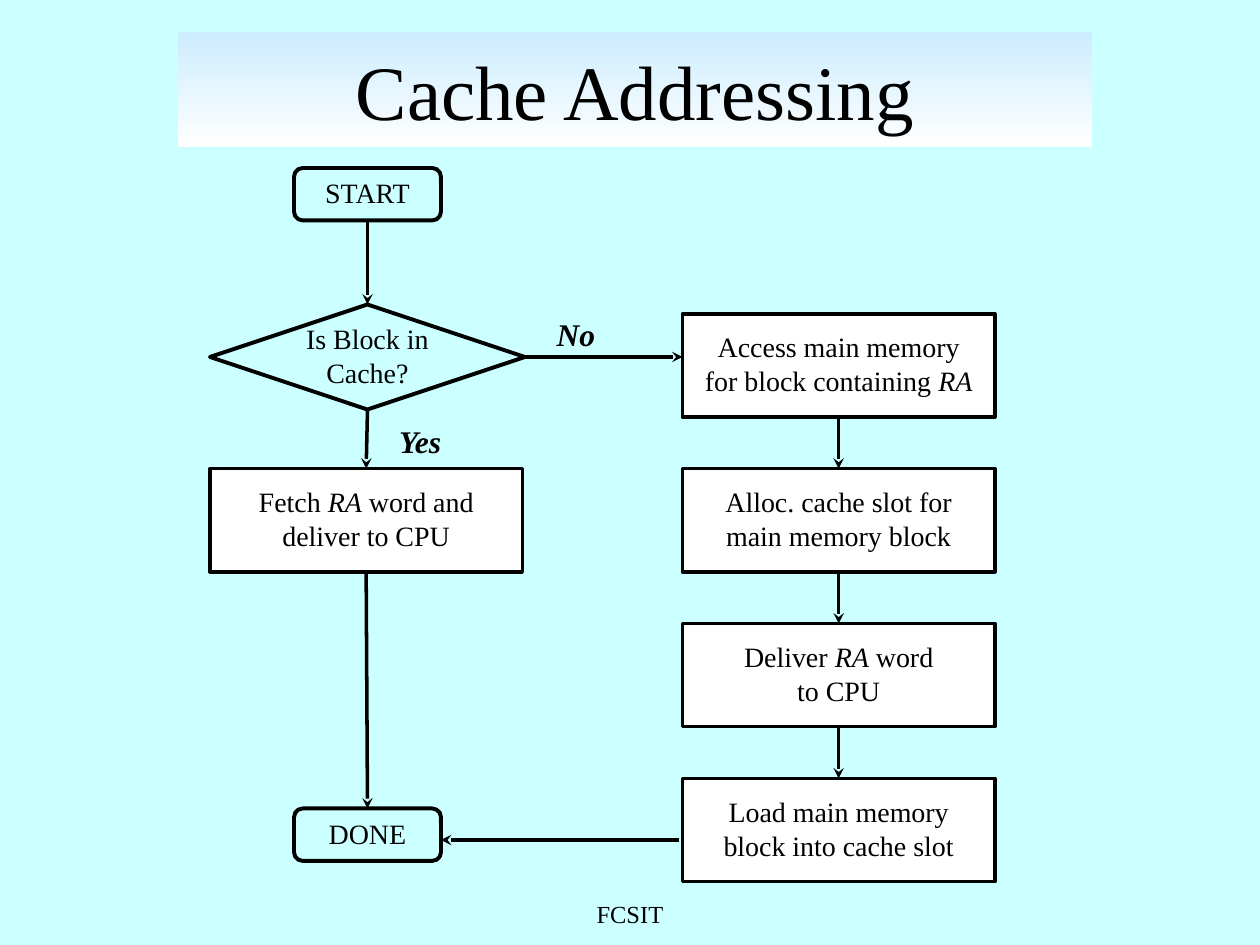
"""Build the cache addressing flowchart slide."""
from dataclasses import dataclass

from lxml.etree import SubElement
from pptx import Presentation
from pptx.dml.color import RGBColor
from pptx.enum.shapes import MSO_CONNECTOR, MSO_SHAPE
from pptx.enum.text import MSO_ANCHOR, PP_ALIGN
from pptx.oxml.ns import qn
from pptx.util import Pt

TOP, LEFT, BOTTOM, RIGHT = range(4)


@dataclass(frozen=True)
class Theme:
    """Colours, font and sizes of the slide."""
    background: RGBColor = RGBColor(0xCC, 0xFF, 0xFF)
    banner: RGBColor = RGBColor(0xCC, 0xEC, 0xFF)
    white: RGBColor = RGBColor(0xFF, 0xFF, 0xFF)
    ink: RGBColor = RGBColor(0, 0, 0)
    font: str = "Times New Roman"
    title_size: float = 44
    label_size: float = 18
    body_size: float = 16
    footer_size: float = 14
    line: float = 2
    outline: float = 2.25


def write(text_frame, text, *, theme, size, align=PP_ALIGN.CENTER,
          anchor=MSO_ANCHOR.MIDDLE, wrap=False, bold=None, italic=None):
    """Write text in a frame, with *starred* parts in italics."""
    text_frame.word_wrap = wrap
    text_frame.vertical_anchor = anchor
    paragraph = text_frame.paragraphs[0]
    paragraph.alignment = align
    for number, line in enumerate(text.split("\n")):
        if number:
            paragraph.add_line_break()
        for index, part in enumerate(line.split("*")):
            if part:
                run = paragraph.add_run()
                run.text = part
                font = run.font
                font.name, font.size = theme.font, Pt(size)
                font.color.rgb = theme.ink
                font.bold = bold
                font.italic = True if index % 2 else italic


class Flowchart:
    """Draws flowchart elements on the current slide."""

    def __init__(self, slide, theme):
        """Keep the slide and theme, and paint the background."""
        self.slide, self.theme = slide, theme
        slide.background.fill.solid()
        slide.background.fill.fore_color.rgb = theme.background

    def title(self, text, left, top, width, height):
        """Format the title placeholder as a gradient banner."""
        title = self.slide.shapes.title
        title.left, title.top = Pt(left), Pt(top)
        title.width, title.height = Pt(width), Pt(height)
        title.fill.gradient()
        title.fill.gradient_angle = 270
        colors = (self.theme.banner, self.theme.white)
        for stop, color, position in zip(title.fill.gradient_stops, colors, (0, 1)):
            stop.color.rgb, stop.position = color, position
        write(title.text_frame, text, theme=self.theme,
              size=self.theme.title_size, wrap=True)

    def label(self, text, left, top, width, height, **style):
        """Add free text."""
        box = self.slide.shapes.add_textbox(Pt(left), Pt(top), Pt(width), Pt(height))
        write(box.text_frame, text, theme=self.theme, anchor=MSO_ANCHOR.TOP, **style)

    def node(self, kind, text, left, top, width, height, weight, filled=False):
        """Add an outlined flowchart node with its text."""
        shape = self.slide.shapes.add_shape(
            kind, Pt(left), Pt(top), Pt(width), Pt(height))
        shape.shadow.inherit = False
        if filled:
            shape.fill.solid()
            shape.fill.fore_color.rgb = self.theme.white
        else:
            shape.fill.background()
        shape.line.color.rgb = self.theme.ink
        shape.line.width = Pt(weight)
        shape.text_frame.margin_bottom = Pt(5.6)
        write(shape.text_frame, text, theme=self.theme, size=self.theme.body_size)
        return shape

    def process(self, text, left, top):
        """Add a process box."""
        return self.node(MSO_SHAPE.RECTANGLE, text, left, top, 178.5, 59,
                         self.theme.line, filled=True)

    def decision(self, text, left, top):
        """Add a decision diamond."""
        return self.node(MSO_SHAPE.DIAMOND, text, left, top, 180, 60,
                         self.theme.outline)

    def terminal(self, text, left, top):
        """Add a rounded start or end node."""
        return self.node(MSO_SHAPE.ROUNDED_RECTANGLE, text, left, top, 84, 30,
                         self.theme.outline)

    def arrow(self, start, end):
        """Add an arrow; each end is a (shape, side) pair or a Pt point."""
        points = [(0, 0) if hasattr(point[0], "shape_id") else point
                  for point in (start, end)]
        connector = self.slide.shapes.add_connector(
            MSO_CONNECTOR.STRAIGHT, *points[0], *points[1])
        for point, connect in ((start, connector.begin_connect),
                               (end, connector.end_connect)):
            if hasattr(point[0], "shape_id"):
                connect(*point)
        connector.line.color.rgb = self.theme.ink
        connector.line.width = Pt(self.theme.line)
        SubElement(connector.line._get_or_add_ln(), qn("a:tailEnd"), type="stealth")
        SubElement(connector._element.spPr, qn("a:effectLst"))


def main():
    """Build and save the slide."""
    presentation = Presentation()
    presentation.slide_width, presentation.slide_height = Pt(720), Pt(540)
    slide = presentation.slides.add_slide(presentation.slide_layouts[5])
    theme = Theme()
    chart = Flowchart(slide, theme)

    chart.title("Cache Addressing", 102, 18, 522, 66)
    start = chart.terminal("START", 168, 96)
    decision = chart.decision("Is Block in\nCache?", 120, 174)
    first_top, pitch = 179.3, 88.5
    fetch = chart.process("Fetch *RA* word and\ndeliver to CPU", 120, first_top + pitch)
    done = chart.terminal("DONE", 168, 462)
    steps = [
        chart.process(text, 390, first_top + row * pitch)
        for row, text in enumerate((
            "Access main memory\nfor block containing *RA*",
            "Alloc. cache slot for\nmain memory block",
            "Deliver *RA* word\nto CPU",
            "Load main memory\nblock into cache slot",
        ))
    ]

    downward = [start, decision, fetch, done]
    for column in (downward, steps):
        for upper, lower in zip(column, column[1:]):
            chart.arrow((upper, BOTTOM), (lower, TOP))
    chart.arrow((decision, RIGHT), (Pt(390), Pt(204)))
    chart.arrow((Pt(388), Pt(480)), (Pt(252), Pt(480)))

    for text, left, top, width in (("Yes", 221, 237.6, 40.5), ("No", 311, 176.4, 36.5)):
        chart.label(text, left, top, width, 29, size=theme.label_size,
                    align=PP_ALIGN.LEFT, bold=True, italic=True)
    chart.label("FCSIT", 246, 510, 228, 18, size=theme.footer_size, wrap=True)
    presentation.save("out.pptx")


if __name__ == "__main__":
    main()
